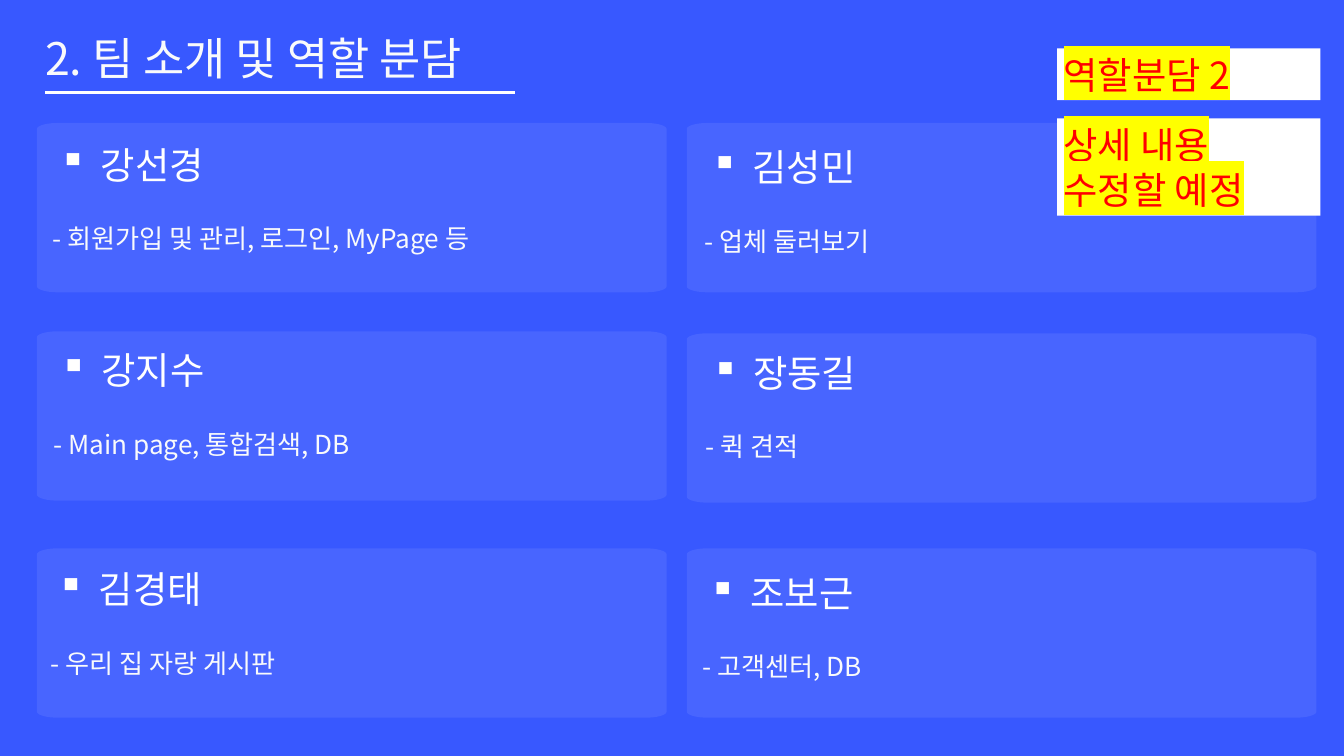
"""Builds the slide that introduces the team and its roles."""
from math import cos, radians, sin

from pptx import Presentation
from pptx.dml.color import RGBColor
from pptx.enum.shapes import MSO_CONNECTOR, MSO_SHAPE
from pptx.enum.text import MSO_ANCHOR, MSO_AUTO_SIZE, PP_ALIGN
from pptx.oxml.ns import qn
from pptx.oxml.xmlchemy import OxmlElement
from pptx.util import Inches, Pt

STRAIGHT = MSO_CONNECTOR.STRAIGHT
RECTANGLE = MSO_SHAPE.RECTANGLE
TOP, MIDDLE = MSO_ANCHOR.TOP, MSO_ANCHOR.MIDDLE
LEFT = PP_ALIGN.LEFT
NO_AUTOFIT = MSO_AUTO_SIZE.NONE

BLUE = RGBColor(0x38, 0x58, 0xFF)
CARD_BLUE = RGBColor(0x6D, 0x85, 0xFF)
WHITE = RGBColor(0xFF, 0xFF, 0xFF)
OFF_WHITE = RGBColor(0xF9, 0xFA, 0xFB)
RED = RGBColor(0xFF, 0x00, 0x00)
YELLOW = RGBColor(0xFF, 0xFF, 0x00)

CARD_SIZE = (9.37, 2.52)
MEMBERS = [
    ((0.55, 1.83), (0.88, 2.22), "강선경", " - 회원가입 및 관리, 로그인, MyPage 등"),
    ((10.22, 1.83), (10.58, 2.26), "김성민", " - 업체 둘러보기"),
    ((0.55, 4.93), (0.89, 5.28), "강지수", " - Main page, 통합검색, DB"),
    ((10.22, 4.96), (10.59, 5.32), "장동길", " - 퀵 견적"),
    ((0.55, 8.16), (0.85, 8.54), "김경태", " - 우리 집 자랑 게시판"),
    ((10.22, 8.16), (10.55, 8.59), "조보근", " - 고객센터, DB"),
]
NOTES = [((15.73, 0.72, 3.92, 0.77), "역할분담 2"),
         ((15.73, 1.76, 3.92, 1.45), "상세 내용 수정할 예정")]


def add_element(parent, tag, **attributes):
    """Append a DrawingML element with its attributes."""
    element = OxmlElement(tag)
    for key, value in attributes.items():
        element.set(key, value)
    parent.append(element)
    return element


class TeamSlide:
    """Holds the text style and the slide that is being filled."""

    font_name = "Noto Sans CJK KR"

    def __init__(self, presentation):
        """Add a title-only slide with a plain background."""
        self.slide = presentation.slides.add_slide(presentation.slide_layouts[5])
        self.shapes = self.slide.shapes
        self.slide.background.fill.solid()
        self.slide.background.fill.fore_color.rgb = BLUE

    def add_text(self, shape, text, size, color, margins=(0, 0), anchor=TOP):
        """Add one styled paragraph and return it with its run."""
        side, edge = map(Inches, margins)
        frame_format = {"word_wrap": True, "auto_size": NO_AUTOFIT,
                        "vertical_anchor": anchor,
                        "margin_left": side, "margin_right": side,
                        "margin_top": edge, "margin_bottom": edge}
        for name, value in frame_format.items():
            setattr(shape.text_frame, name, value)
        paragraph = shape.text_frame.paragraphs[0]
        paragraph.alignment = LEFT
        run = paragraph.add_run()
        run.text = text
        for name, value in {"size": Pt(size), "name": self.font_name}.items():
            setattr(run.font, name, value)
        run.font.color.rgb = color
        add_element(run._r.get_or_add_rPr(), "a:ea", typeface=self.font_name)
        return paragraph, run

    def title(self, box, text):
        """Fill and place the title placeholder."""
        heading = self.shapes.title
        for name, value in zip(("left", "top", "width", "height"), box):
            setattr(heading, name, Inches(value))
        self.add_text(heading, text, 48, OFF_WHITE)

    def rule(self, left, top, right):
        """Draw a horizontal white line."""
        underline = self.shapes.add_connector(
            STRAIGHT, Inches(left), Inches(top), Inches(right), Inches(top))
        underline.line.color.rgb = WHITE
        underline.line.width = Pt(3)
        add_element(underline._element.spPr, "a:effectLst")

    def card(self, left, top, width, height, radius_x=0.31, radius_y=0.09):
        """Draw a translucent panel with flat elliptical corners."""
        centers = [(left + width - radius_x, top + height - radius_y),
                   (left + radius_x, top + height - radius_y),
                   (left + radius_x, top + radius_y),
                   (left + width - radius_x, top + radius_y)]
        outline = []
        for quarter, (x, y) in enumerate(centers):
            for step in range(0, 91, 10):
                angle = radians(90 * quarter + step)
                outline.append((Inches(x + radius_x * cos(angle)),
                                Inches(y + radius_y * sin(angle))))
        builder = self.shapes.build_freeform(*outline[0])
        builder.add_line_segments(outline[1:], close=True)
        panel = builder.convert_to_shape()
        panel.shadow.inherit = False
        panel.fill.solid()
        panel.fill.fore_color.rgb = CARD_BLUE
        panel.line.fill.background()
        tint = panel._element.spPr.find(qn("a:solidFill")).find(qn("a:srgbClr"))
        add_element(tint, "a:alpha", val="30000")

    def text_box(self, box, text, size, color):
        """Add a text box without insets and return its paragraph."""
        label = self.shapes.add_textbox(*map(Inches, box))
        return self.add_text(label, text, size, color)[0]

    def member(self, left, top, name, role):
        """Add a bulleted name with the role below it."""
        paragraph = self.text_box((left, top, 6.57, 0.56), name, 40, WHITE)
        properties = paragraph._p.get_or_add_pPr()
        indent = Inches(0.62)
        for key, value in {"marL": indent, "indent": -indent}.items():
            properties.set(key, str(value))
        add_element(properties, "a:buChar", char="▪")
        paragraph.line_spacing = Pt(40)
        self.text_box((left - 0.18, top + 1.09, 8.88, 0.47), role, 28, OFF_WHITE)

    def note(self, box, text):
        """Add a white note with highlighted red text."""
        memo = self.shapes.add_shape(RECTANGLE, *map(Inches, box))
        memo.shadow.inherit = False
        memo.fill.solid()
        memo.fill.fore_color.rgb = WHITE
        memo.line.fill.background()
        run = self.add_text(memo, text, 40, RED, (0.1, 0.05), MIDDLE)[1]
        highlight = OxmlElement("a:highlight")
        add_element(highlight, "a:srgbClr", val=str(YELLOW))
        run._r.rPr.find(qn("a:solidFill")).addnext(highlight)


def main():
    """Build and save the presentation."""
    presentation = Presentation()
    presentation.slide_width = Inches(20)
    presentation.slide_height = Inches(11.25)
    team = TeamSlide(presentation)
    team.title((0.67, 0.46, 7.67, 0.81), "2. 팀 소개 및 역할 분담")
    team.rule(0.67, 1.38, 7.67)
    for corner, name_corner, name, role in MEMBERS:
        team.card(*corner, *CARD_SIZE)
        team.member(*name_corner, name, role)
    for box, text in NOTES:
        team.note(box, text)
    presentation.save("out.pptx")


if __name__ == "__main__":
    main()
